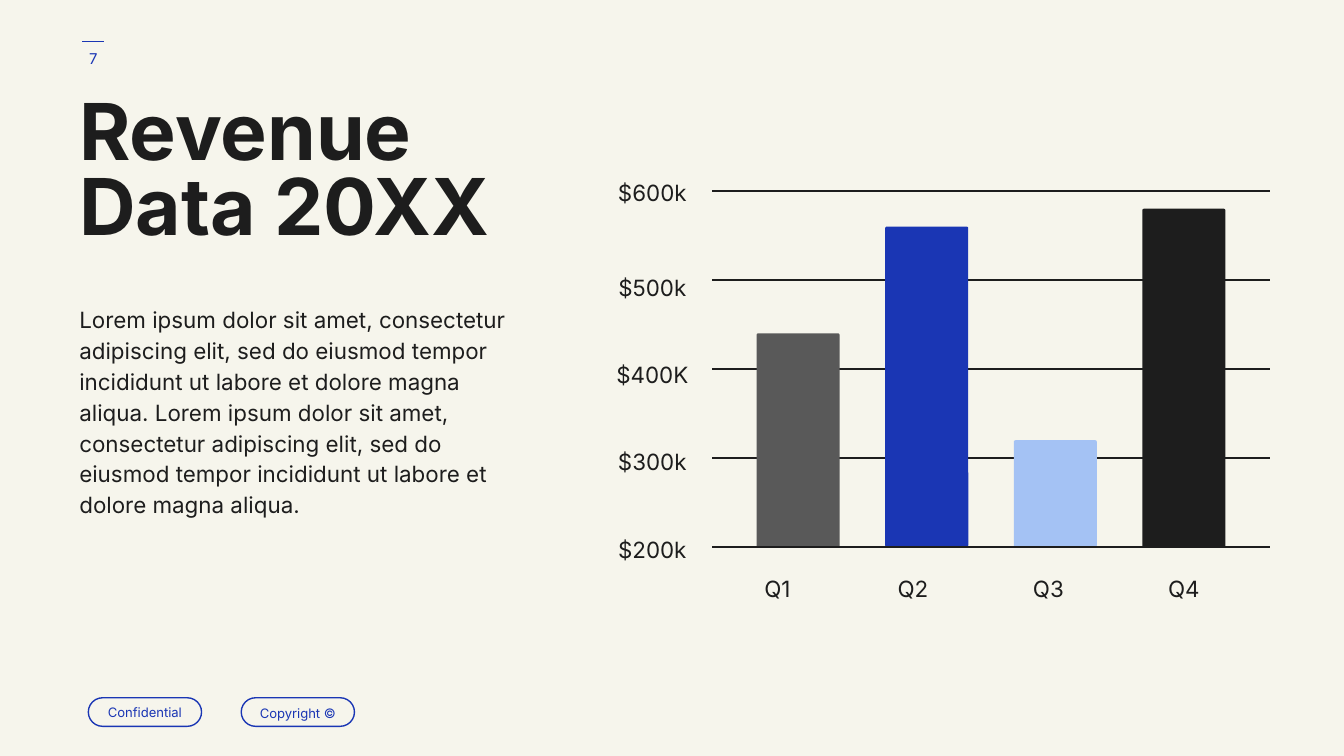
from lxml import etree
from pptx import Presentation
from pptx.dml.color import RGBColor
from pptx.enum import shapes, text
from pptx.oxml import ns
from pptx.util import Cm, Pt

# Content
TITLE = ["Revenue", "Data 20XX"]
SENTENCE = ("Lorem ipsum dolor sit amet, consectetur adipiscing elit, sed do eiusmod "
            "tempor incididunt ut labore et dolore magna aliqua.")
BODY = [f"{SENTENCE} {SENTENCE}"]
PAGE_NUMBER = "7"
BADGES = ["Confidential", "Copyright ©"]
REVENUE = [("Q1", 440, "grey"), ("Q2", 560, "blue"), ("Q3", 320, "sky"), ("Q4", 580, "ink")]
# Axis label and the top of its box in cm
AXIS_LABELS = [("$600k", 3.07), ("$500k", 4.85), ("$400K", 6.5), ("$300k", 8.15), ("$200k", 9.8)]

COLOURS = {"paper": "F6F5EC", "ink": "1D1D1D", "blue": "1A36B4",
           "grey": "595959", "sky": "A4C2F4"}
FONT = "Inter"

# Plot geometry in cm
PLOT_LEFT, PLOT_RIGHT, PLOT_TOP, PLOT_BOTTOM = 13.46, 24.0, 3.61, 10.34
AXIS_MIN, AXIS_MAX = 200, 600
BAR_LEFT, BAR_STEP, BAR_WIDTH = 14.3, 2.43, 1.57
QUARTER_LEFT, QUARTER_STEP = 13.69, 2.56

presentation = Presentation()
presentation.slide_width, presentation.slide_height = Cm(25.4), Cm(14.29)
slide = presentation.slides.add_slide(presentation.slide_layouts[6])


def colour(name):
    return RGBColor.from_string(COLOURS[name])


def write(shape, lines, size, ink="ink", bold=False, centred=False, middle=False, spacing=1.0):
    frame = shape.text_frame
    frame.word_wrap = True
    frame.margin_left = frame.margin_right = frame.margin_top = frame.margin_bottom = Cm(0.25)
    frame.vertical_anchor = text.MSO_ANCHOR.MIDDLE if middle else text.MSO_ANCHOR.TOP
    for index, line in enumerate(lines):
        paragraph = frame.paragraphs[0] if index == 0 else frame.add_paragraph()
        paragraph.alignment = text.PP_ALIGN.CENTER if centred else text.PP_ALIGN.LEFT
        paragraph.line_spacing = spacing
        run = paragraph.add_run()
        run.text = line
        run.font.name, run.font.size, run.font.bold = FONT, Pt(size), bold
        run.font.color.rgb = colour(ink)


def add_text(left, top, width, height, lines, size, **style):
    box = slide.shapes.add_textbox(Cm(left), Cm(top), Cm(width), Cm(height))
    write(box, lines, size, **style)


def add_rounded(left, top, width, height, roundness):
    shape = slide.shapes.add_shape(shapes.MSO_SHAPE.ROUNDED_RECTANGLE,
                                   Cm(left), Cm(top), Cm(width), Cm(height))
    shape.adjustments[0] = roundness
    shape.shadow.inherit = False
    return shape


def add_rule(left, right, y, ink):
    line = slide.shapes.add_connector(shapes.MSO_CONNECTOR.STRAIGHT,
                                      Cm(left), Cm(y), Cm(right), Cm(y))
    line.line.color.rgb = colour(ink)
    line.line.width = Pt(0.75)
    etree.SubElement(line._element.spPr, ns.qn("a:effectLst"))


def value_y(value):
    share = (value - AXIS_MIN) / (AXIS_MAX - AXIS_MIN)
    return PLOT_BOTTOM - share * (PLOT_BOTTOM - PLOT_TOP)


# Background and page number
slide.background.fill.solid()
slide.background.fill.fore_color.rgb = colour("paper")
add_rule(1.55, 1.97, 0.78, "blue")
add_text(1.17, 0.56, 1.19, 1.09, [PAGE_NUMBER], 8, ink="blue", centred=True, middle=True)

# Footer badges
for index, label in enumerate(BADGES):
    badge = add_rounded(1.67 + index * 2.89, 13.19, 2.14, 0.54, 0.5)
    badge.fill.background()
    badge.line.color.rgb = colour("blue")
    badge.line.width = Pt(0.75)
    write(badge, [label], 7, ink="blue", centred=True, middle=True,
          spacing=1.15 if index else 1.0)

# Title and body
add_text(1.25, 1.65, 9.45, 3.81, TITLE, 42, bold=True, spacing=0.8)
add_text(1.25, 5.46, 8.92, 5.77, BODY, 12, spacing=1.15)

# Axis labels
for label, top in AXIS_LABELS:
    add_text(11.35, top, 1.96, 1.02, [label], 12, centred=True, spacing=1.15)

# Gridlines above the baseline
for value in range(AXIS_MAX, AXIS_MIN, -100):
    add_rule(PLOT_LEFT, PLOT_RIGHT, value_y(value), "ink")

# Bars and quarter labels
for index, (quarter, value, fill) in enumerate(REVENUE):
    top = value_y(value)
    bar = add_rounded(BAR_LEFT + index * BAR_STEP, top, BAR_WIDTH, PLOT_BOTTOM - top, 0.02)
    bar.fill.solid()
    bar.fill.fore_color.rgb = colour(fill)
    bar.line.fill.background()
    add_text(QUARTER_LEFT + index * QUARTER_STEP, 10.54, 2.01, 1.02, [quarter], 12,
             centred=True, spacing=1.15)

# Baseline in front of the bars
add_rule(PLOT_LEFT, PLOT_RIGHT, PLOT_BOTTOM, "ink")

presentation.save("out.pptx")
